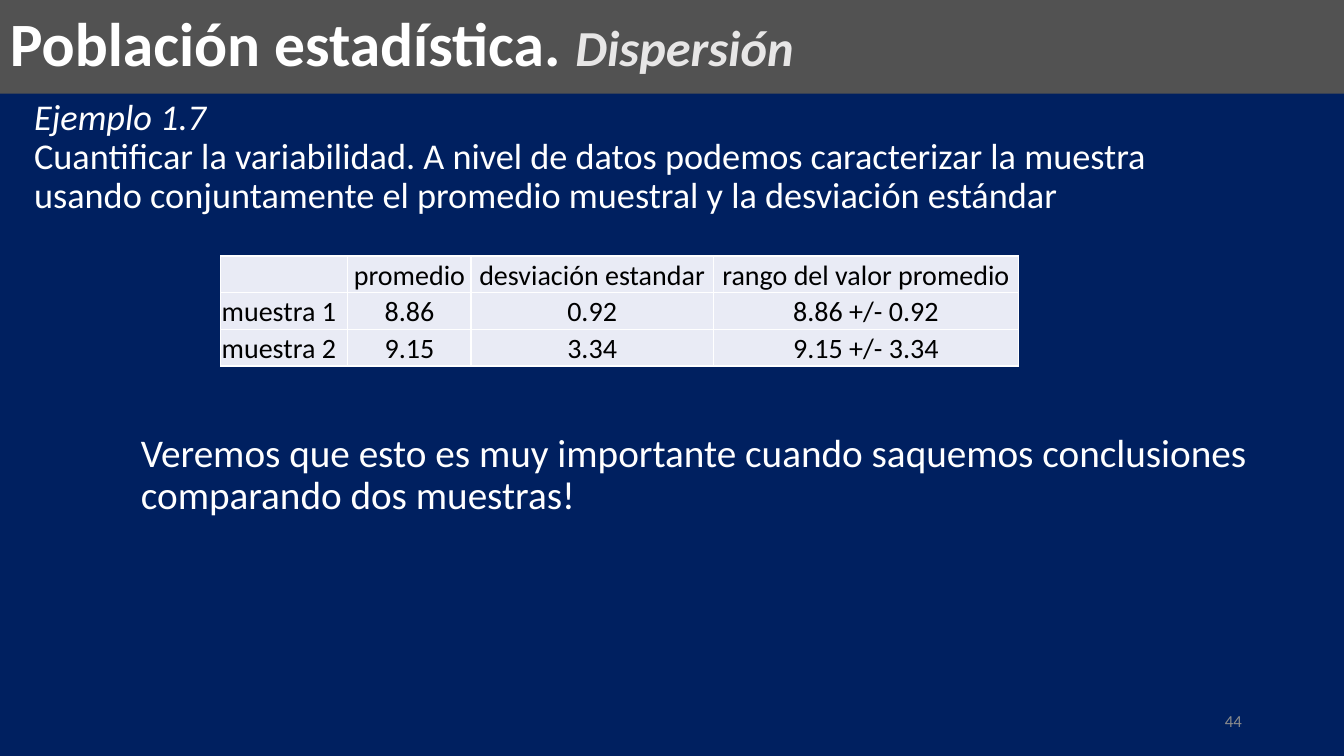
from dataclasses import dataclass

from lxml.etree import SubElement
from pptx import Presentation
from pptx.dml.color import RGBColor
from pptx.enum.shapes import MSO_SHAPE as Preset
from pptx.enum.text import MSO_ANCHOR as Anchor, PP_ALIGN as Align
from pptx.oxml.ns import qn
from pptx.util import Pt

FONT = "Calibri"
NAVY, GRAY, WHITE, BLACK = "002060", "525252", "FFFFFF", "000000"
SILVER, NUMBER_GRAY, CELL_FILL = "E7E6E6", "8C8C8C", "E9EBF5"


@dataclass
class Line:
    text: str
    size: float
    color: str = WHITE
    italic: bool = False
    align: Align = Align.LEFT
    spacing: float = 0.9


@dataclass
class Block:
    left: float
    top: float
    width: float
    height: float
    lines: list[Line]
    anchor: Anchor = Anchor.TOP


def rgb(value: str) -> RGBColor:
    return RGBColor.from_string(value)


def style(font, size: float, color: str, bold: bool = False, italic: bool = False) -> None:
    font.name = FONT
    font.size = Pt(size)
    font.bold = bold
    font.italic = italic
    font.color.rgb = rgb(color)


def add_block(slide, block: Block) -> None:
    box = slide.shapes.add_textbox(
        Pt(block.left), Pt(block.top), Pt(block.width), Pt(block.height))
    frame = box.text_frame
    frame.word_wrap = True
    frame.vertical_anchor = block.anchor
    for i, line in enumerate(block.lines):
        paragraph = frame.add_paragraph() if i else frame.paragraphs[0]
        paragraph.text = line.text
        paragraph.alignment = line.align
        paragraph.line_spacing = line.spacing
        style(paragraph.font, line.size, line.color, italic=line.italic)


def add_borders(cell, color: str, width: float) -> None:
    properties = cell._tc.get_or_add_tcPr()
    for side in ("a:lnL", "a:lnR", "a:lnT", "a:lnB"):
        border = SubElement(properties, qn(side), w=str(Pt(width)))
        fill = SubElement(border, qn("a:solidFill"))
        SubElement(fill, qn("a:srgbClr"), val=color)


def fill_cell(cell, text: str, align: Align) -> None:
    cell.margin_left = cell.margin_right = cell.margin_top = Pt(0.7)
    cell.margin_bottom = Pt(0)
    cell.vertical_anchor = Anchor.BOTTOM
    add_borders(cell, WHITE, 1)
    cell.fill.solid()
    cell.fill.fore_color.rgb = rgb(CELL_FILL)
    paragraph = cell.text_frame.paragraphs[0]
    if text:
        paragraph.text = text
    paragraph.alignment = align
    style(paragraph.font, 20, BLACK)


SAMPLES = [
    ["", "promedio", "desviación estandar", "rango del valor promedio"],
    ["muestra 1", "8.86", "0.92", "8.86 +/- 0.92"],
    ["muestra 2", "9.15", "3.34", "9.15 +/- 3.34"],
]
COLUMN_WIDTHS = [90.8, 88, 173, 218.2]
ROW_HEIGHT = 26.2

BLOCKS = [
    Block(678.24, 500.4, 216, 28.8,
          [Line("44", 12, NUMBER_GRAY, align=Align.RIGHT, spacing=1)], Anchor.MIDDLE),
    Block(93.6, 306, 828, 94.3,
          [Line("Veremos que esto es muy importante cuando saquemos conclusiones "
                "comparando dos muestras!", 28)]),
    Block(17.28, 67, 828, 94.3,
          [Line("Ejemplo 1.7", 25.9, italic=True),
           Line("Cuantificar la variabilidad. A nivel de datos podemos caracterizar "
                "la muestra usando conjuntamente el promedio muestral y la "
                "desviación estándar", 25.9)]),
]


def add_title(slide, width: int) -> None:
    banner = slide.shapes.add_shape(Preset.RECTANGLE, 0, 0, width, Pt(67))
    banner.shadow.inherit = False
    banner.fill.solid()
    banner.fill.fore_color.rgb = rgb(GRAY)
    banner.line.fill.background()
    banner.text_frame.word_wrap = True
    banner.text_frame.vertical_anchor = Anchor.MIDDLE
    heading = banner.text_frame.paragraphs[0]
    heading.alignment = Align.LEFT
    heading.line_spacing = 0.9
    topic, subtopic = heading.add_run(), heading.add_run()
    topic.text = "Población estadística. "
    subtopic.text = "Dispersión"
    style(topic.font, 44, WHITE, bold=True)
    style(subtopic.font, 36, SILVER, bold=True, italic=True)


def add_samples(slide) -> None:
    samples = slide.shapes.add_table(
        len(SAMPLES), len(COLUMN_WIDTHS), Pt(157.7), Pt(182.9),
        Pt(sum(COLUMN_WIDTHS)), Pt(ROW_HEIGHT * len(SAMPLES))).table
    for column, width in zip(samples.columns, COLUMN_WIDTHS):
        column.width = Pt(width)
    for r, values in enumerate(SAMPLES):
        samples.rows[r].height = Pt(ROW_HEIGHT)
        for c, value in enumerate(values):
            fill_cell(samples.cell(r, c), value, Align.CENTER if c else Align.LEFT)


def main() -> None:
    deck = Presentation()
    deck.slide_width, deck.slide_height = Pt(960), Pt(540)
    slide = deck.slides.add_slide(deck.slide_layouts[6])

    # Background and title banner
    slide.background.fill.solid()
    slide.background.fill.fore_color.rgb = rgb(NAVY)
    add_title(slide, deck.slide_width)

    # Page number, conclusion and example
    for block in BLOCKS:
        add_block(slide, block)

    # Sample statistics
    add_samples(slide)
    deck.save("out.pptx")


if __name__ == "__main__":
    main()
